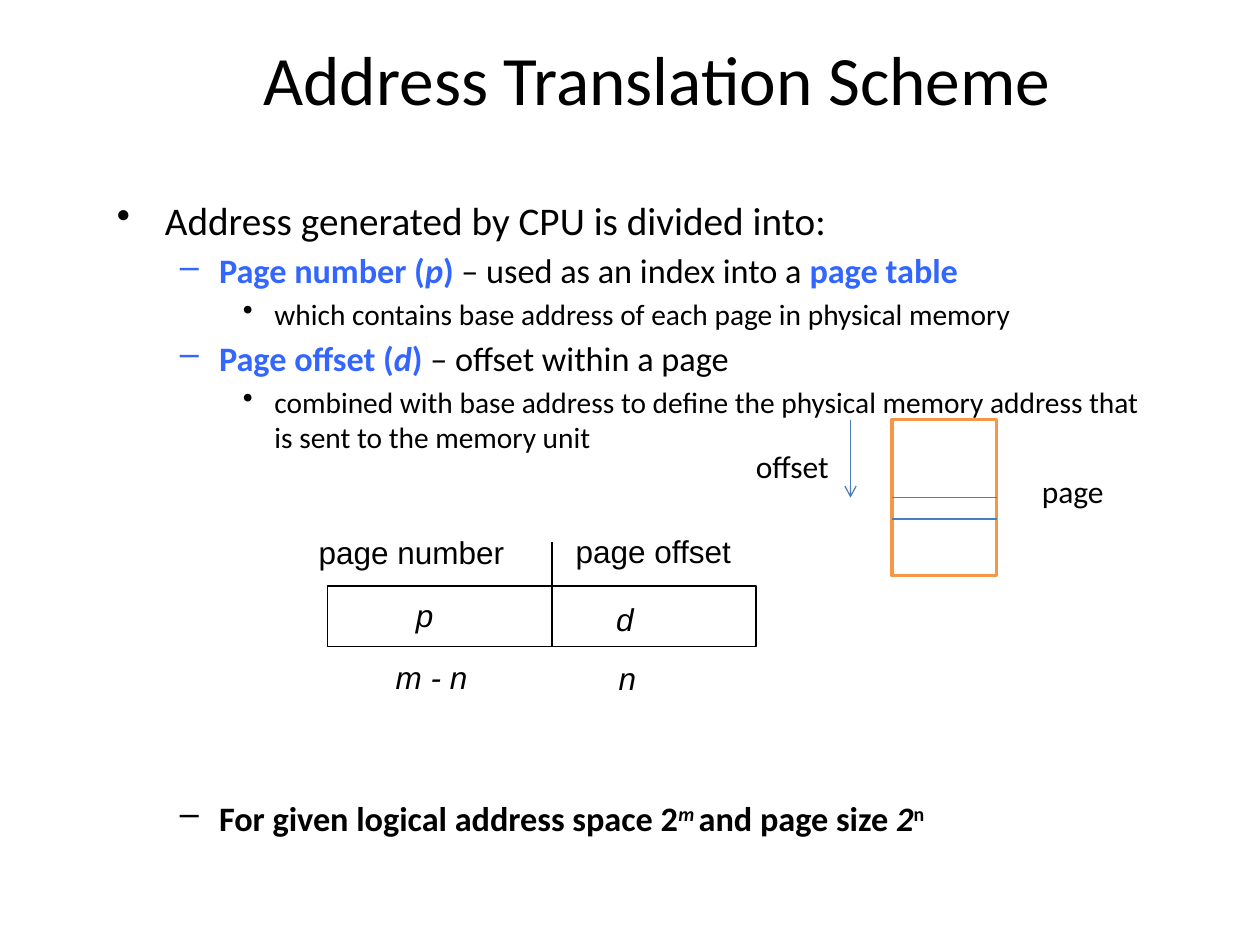
"""Build the slide on the address translation scheme."""
from lxml.etree import SubElement as Sub
from pptx import Presentation
from pptx.dml.color import RGBColor
from pptx.enum.shapes import MSO_CONNECTOR as Link, MSO_SHAPE as Shape
from pptx.enum.text import MSO_ANCHOR as Anchor, PP_ALIGN as Align
from pptx.oxml.ns import qn
from pptx.util import Inches, Pt

BLACK, WHITE, BLUE, ORANGE, STEEL = "000000", "FFFFFF", "3366FF", "F79646", "4B7EBC"
TITLE = "Address Translation Scheme"
LEVELS = [(22.4, 0.38, 0.38, "•"), (19.6, 0.81, 0.31, "–"), (16.8, 1.25, 0.25, "•")]
BODY = [
    (0, 0, [("Address generated by CPU is divided into:", "")]),
    (1, 3.5, [("Page number (", "b#"), ("p", "bi#"), (") ", "b#"),
              ("– used as an index into a ", ""), ("page table", "b#")]),
    (2, 3, [("which contains base address of each page in physical memory", "")]),
    (1, 3.5, [("Page offset (", "b#"), ("d", "bi#"), (") ", "b#"),
              ("– offset within a page", "")]),
    (2, 3, [("combined with base address to define the physical memory "
             "address that is sent to the memory unit", "")]),
    (1, 196, [("For given logical address space 2", "b"), ("m ", "bi^"),
              ("and page size ", "b"), ("2", "bi"), ("n", "b^")]),
]
FIELDS = [
    ("page number", 2.42, 4.18, 1.69, False),
    ("page offset", 4.46, 4.17, 1.45, False),
    ("p", 3.2, 4.68, 0.34, True),
    ("d", 4.79, 4.71, 0.34, True),
    ("m - n", 2.99, 5.17, 0.87, True),
    ("n", 4.74, 5.18, 0.48, True),
]
NOTES = [("offset", 5.9, 3.5, 0.85), ("page", 8.17, 3.7, 1.33)]


def color(text):
    return RGBColor.from_string(text)


def style(font, size, name="Calibri", tint=BLACK):
    font.size, font.name = Pt(size), name
    font.color.rgb = color(tint)


def frame(x, y, w, h, wrap=True):
    text = slide.shapes.add_textbox(*map(Inches, (x, y, w, h))).text_frame
    text.word_wrap = wrap
    return text


def label(text, x, y, w, h=0.4, size=18, name="Calibri", mid=False, wrap=True):
    box = frame(x, y, w, h, wrap)
    para = box.paragraphs[0]
    para.text = text
    style(para.font, size, name)
    if mid:
        box.vertical_anchor, para.alignment = Anchor.MIDDLE, Align.CENTER
    return para


def rect(x, y, w, h, tint, width):
    box = slide.shapes.add_shape(Shape.RECTANGLE, *map(Inches, (x, y, w, h)))
    box.shadow.inherit = False
    box.fill.solid()
    box.fill.fore_color.rgb = color(WHITE)
    box.line.color.rgb = color(tint)
    box.line.width = Pt(width)
    return box


def rule(x1, y1, x2, y2, tint):
    line = slide.shapes.add_connector(Link.STRAIGHT, *map(Inches, (x1, y1, x2, y2)))
    line.line.color.rgb = color(tint)
    line.line.width = Pt(0.75)
    Sub(line._element.spPr, qn("a:effectLst"))
    return line


def bullet(para, level, gap, runs):
    size, left, hang, mark = LEVELS[level]
    para.level, para.space_before = level, Pt(gap)
    style(para.font, size)
    props = para._p.get_or_add_pPr()
    props.set("marL", str(Inches(left)))
    props.set("indent", str(-Inches(hang)))
    sign = Sub(props, qn("a:buChar"))
    sign.set("char", mark)
    props.insert(props.index(props.find(qn("a:defRPr"))), sign)
    for text, flags in runs:
        run = para.add_run()
        run.text = text
        style(run.font, size, tint=BLUE if "#" in flags else BLACK)
        run.font.bold, run.font.italic = "b" in flags, "i" in flags
        if "^" in flags:
            run._r.get_or_add_rPr().set("baseline", "30000")


deck = Presentation()
deck.slide_width, deck.slide_height = Inches(10), Inches(7.5)
slide = deck.slides.add_slide(deck.slide_layouts[6])

label(TITLE, 0.93, 0.3, 8.57, 0.63, 39.6, mid=True)
body = frame(0.83, 1.51, 8.45, 4.9)
for i, item in enumerate(BODY):
    bullet(body.add_paragraph() if i else body.paragraphs[0], *item)

rect(2.6, 4.65, 3.4, 0.48, BLACK, 0.75)
rule(4.38, 4.3, 4.38, 5.13, BLACK)
for text, x, y, w, slant in FIELDS:
    para = label(text, x, y, w, name="Arial", mid=True, wrap=len(text) < 6)
    para.font.italic = slant

page = rect(7.08, 3.33, 0.83, 1.24, ORANGE, 2)
arrow = rule(6.75, 3.33, 6.75, 3.95, STEEL)
Sub(arrow.line._get_or_add_ln(), qn("a:tailEnd")).set("type", "arrow")
upper = rule(7.08, 3.95, 7.91, 3.95, STEEL)
upper.begin_connect(page, 1)
upper.end_connect(page, 3)
rule(7.08, 4.12, 7.91, 4.12, STEEL)
for note in NOTES:
    label(*note)

deck.save("out.pptx")
